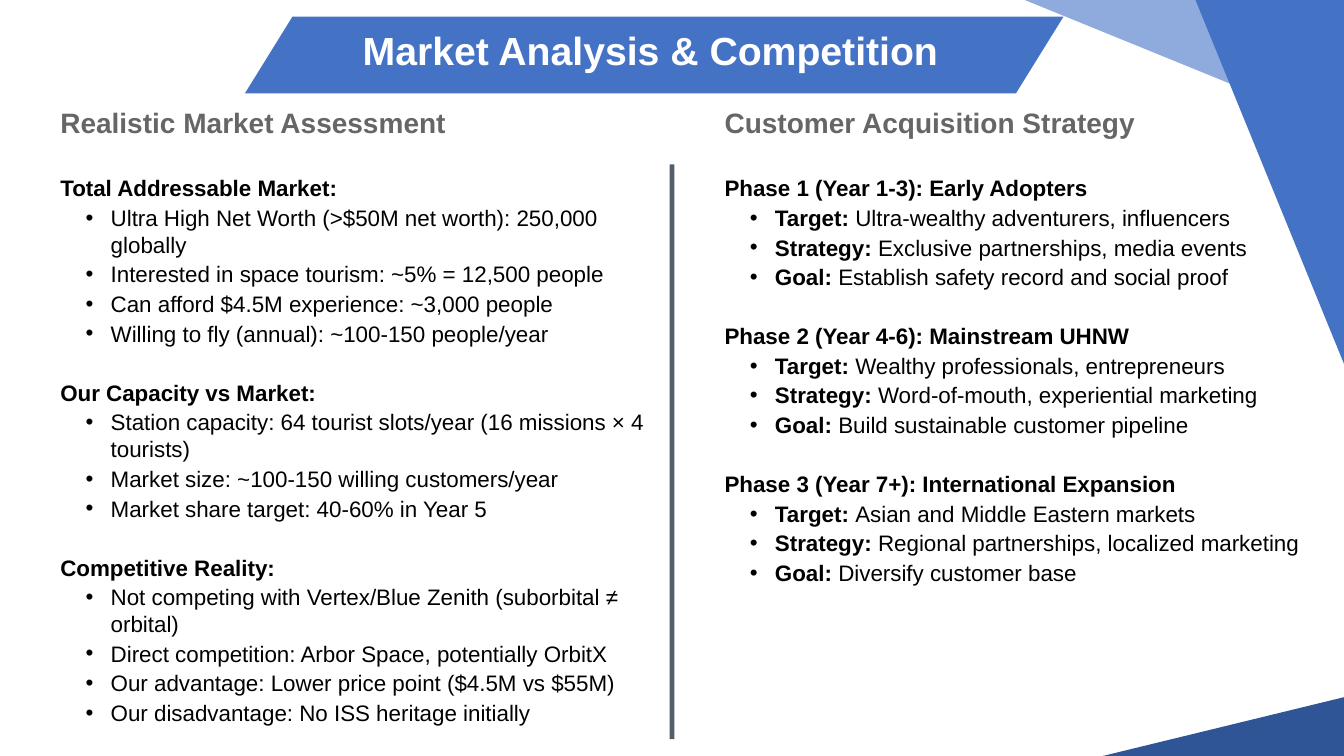
from lxml.etree import SubElement
from pptx import Presentation
from pptx.dml.color import RGBColor
from pptx.enum.shapes import MSO_CONNECTOR, MSO_SHAPE
from pptx.enum.text import MSO_ANCHOR
from pptx.oxml.ns import qn
from pptx.util import Inches, Pt

BLUE = RGBColor(0x44, 0x72, 0xC4)
LIGHT_BLUE = RGBColor(0x8F, 0xAA, 0xDC)
DARK_BLUE = RGBColor(0x2F, 0x55, 0x97)
SLATE = RGBColor(0x33, 0x3F, 0x50)
GRAY = RGBColor(0x66, 0x66, 0x66)
BLACK = RGBColor(0, 0, 0)
WHITE = RGBColor(0xFF, 0xFF, 0xFF)

MARKET = [
    ("Total Addressable Market:", [
        "Ultra High Net Worth (>$50M net worth): 250,000 globally",
        "Interested in space tourism: ~5% = 12,500 people",
        "Can afford $4.5M experience: ~3,000 people",
        "Willing to fly (annual): ~100-150 people/year"]),
    ("Our Capacity vs Market:", [
        "Station capacity: 64 tourist slots/year (16 missions × 4 tourists)",
        "Market size: ~100-150 willing customers/year",
        "Market share target: 40-60% in Year 5"]),
    ("Competitive Reality:", [
        "Not competing with Vertex/Blue Zenith (suborbital ≠ orbital)",
        "Direct competition: Arbor Space, potentially OrbitX",
        "Our advantage: Lower price point ($4.5M vs $55M)",
        "Our disadvantage: No ISS heritage initially"]),
]
STEPS = ("Target: ", "Strategy: ", "Goal: ")
PHASES = [
    ("Phase 1 (Year 1-3): Early Adopters", [
        "Ultra-wealthy adventurers, influencers",
        "Exclusive partnerships, media events",
        "Establish safety record and social proof"]),
    ("Phase 2 (Year 4-6): Mainstream UHNW", [
        "Wealthy professionals, entrepreneurs",
        "Word-of-mouth, experiential marketing",
        "Build sustainable customer pipeline"]),
    ("Phase 3 (Year 7+): International Expansion", [
        "Asian and Middle Eastern markets",
        "Regional partnerships, localized marketing",
        "Diversify customer base"]),
]


class SlideBuilder:
    columns, rows = 80, 45
    font_name = "Arial"
    title_style = {"size": Pt(28), "bold": True}
    heading_style = {"size": Pt(20), "bold": True}
    label_style = {"size": Pt(16), "bold": True}
    body_style = {"size": Pt(16), "bold": False}

    def __init__(self, deck):
        self.page = deck.slides.add_slide(deck.slide_layouts[6])
        self.column = deck.slide_width / self.columns
        self.row = deck.slide_height / self.rows

    def place(self, left, top, width, height):
        return (round(left * self.column), round(top * self.row),
                round(width * self.column), round(height * self.row))

    def shape(self, kind, area, color, adjustment, rotation=0):
        shape = self.page.shapes.add_shape(kind, *self.place(*area))
        shape.adjustments[0] = adjustment
        shape.rotation = rotation
        shape.shadow.inherit = False
        shape.fill.solid()
        shape.fill.fore_color.rgb = color
        shape.line.fill.background()

    def divider(self, column, top, bottom):
        x, y, _, height = self.place(column, top, 0, bottom - top)
        line = self.page.shapes.add_connector(
            MSO_CONNECTOR.STRAIGHT, x, y, x, y + height)
        line.line.width = Pt(3.25)
        line.line.color.rgb = SLATE
        properties = line._element.spPr
        color = properties.find(".//" + qn("a:srgbClr"))
        SubElement(color, qn("a:alpha"), val="84000")
        SubElement(properties, qn("a:effectLst"))

    def text_box(self, area):
        box = self.page.shapes.add_textbox(*self.place(*area)).text_frame
        box.word_wrap = True
        box.vertical_anchor = MSO_ANCHOR.TOP
        return box

    def span(self, para, text, style, color):
        span = para.add_run()
        span.text = text
        for name, value in {"name": self.font_name, **style}.items():
            setattr(span.font, name, value)
        span.font.color.rgb = color

    def paragraph(self, box, before=1):
        para = box.add_paragraph()
        for name, value in {"space_before": Pt(before), "space_after": Pt(1)}.items():
            setattr(para, name, value)
        return para

    def bullet(self, box):
        para = self.paragraph(box)
        properties = para._p.get_or_add_pPr()
        properties.set("marL", str(Inches(0.5)))
        properties.set("indent", str(-Inches(0.25)))
        SubElement(properties, qn("a:buFont"), typeface=self.font_name)
        SubElement(properties, qn("a:buChar"), char="•")
        return para

    def title(self, area, text):
        self.span(self.text_box(area).paragraphs[0], text, self.title_style, WHITE)

    def text_column(self, area, heading, sections, labels=()):
        box = self.text_box(area)
        first = box.paragraphs[0]
        first.space_after = Pt(1)
        self.span(first, heading, self.heading_style, GRAY)
        for number, (label, items) in enumerate(sections):
            para = self.paragraph(box, before=22 if number else 24)
            self.span(para, label, self.label_style, BLACK)
            for index, item in enumerate(items):
                para = self.bullet(box)
                if labels:
                    self.span(para, labels[index], self.label_style, BLACK)
                self.span(para, item, self.body_style, BLACK)


def main():
    deck = Presentation()
    deck.slide_width, deck.slide_height = Inches(13.33), Inches(7.5)
    slide = SlideBuilder(deck)
    slide.shape(MSO_SHAPE.PARALLELOGRAM, (14.58, 1, 48.72, 4.56), BLUE, 0.62)
    slide.title((21, 1.26, 40, 3.42), "Market Analysis & Competition")
    slide.text_column((3, 6, 37.56, 38), "Realistic Market Assessment", MARKET)
    slide.text_column((42.54, 6, 37.2, 33.36), "Customer Acquisition Strategy", PHASES, STEPS)
    slide.divider(40, 9.78, 44)
    slide.shape(MSO_SHAPE.ISOSCELES_TRIANGLE, (61, 0, 19, 7.74), LIGHT_BLUE, 0, 180)
    slide.shape(MSO_SHAPE.ISOSCELES_TRIANGLE, (71.16, 0, 8.84, 21.66), BLUE, 0, 180)
    slide.shape(MSO_SHAPE.ISOSCELES_TRIANGLE, (64, 41.5, 16, 3.9), DARK_BLUE, 1)
    deck.save("out.pptx")


if __name__ == "__main__":
    main()
